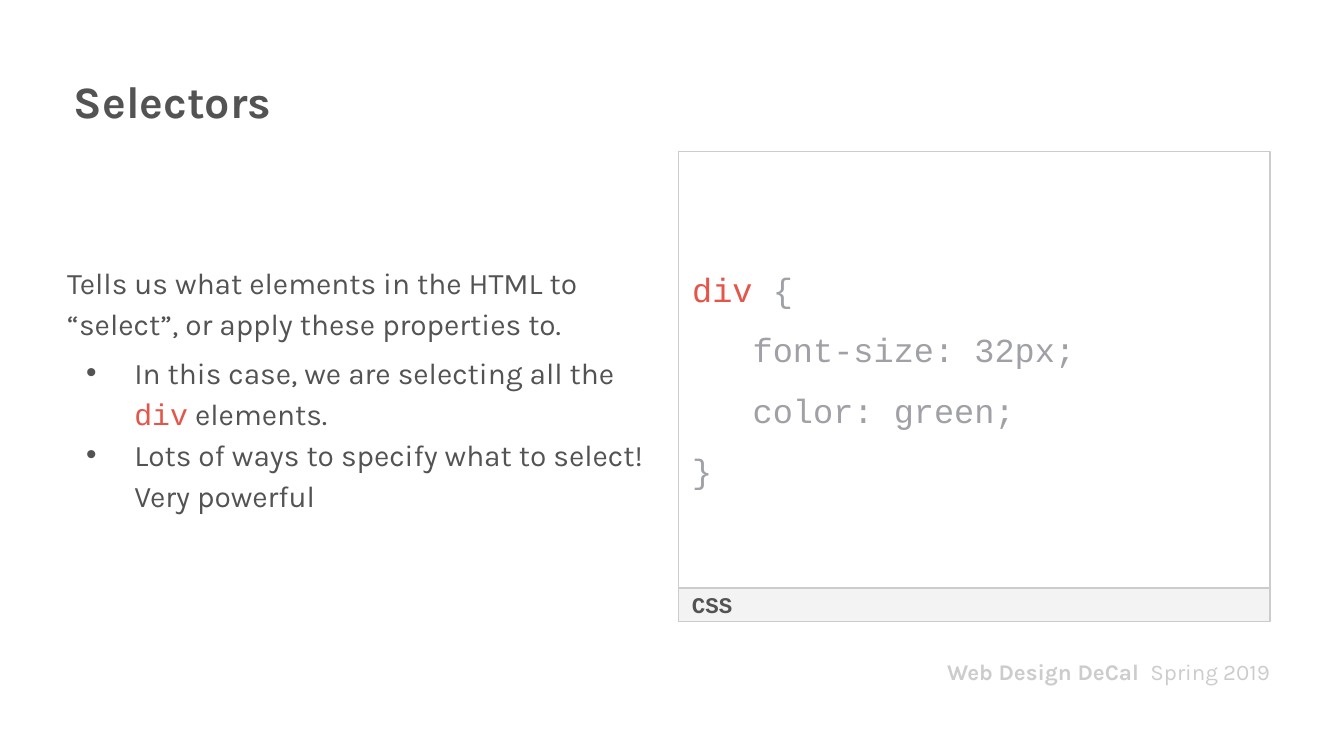
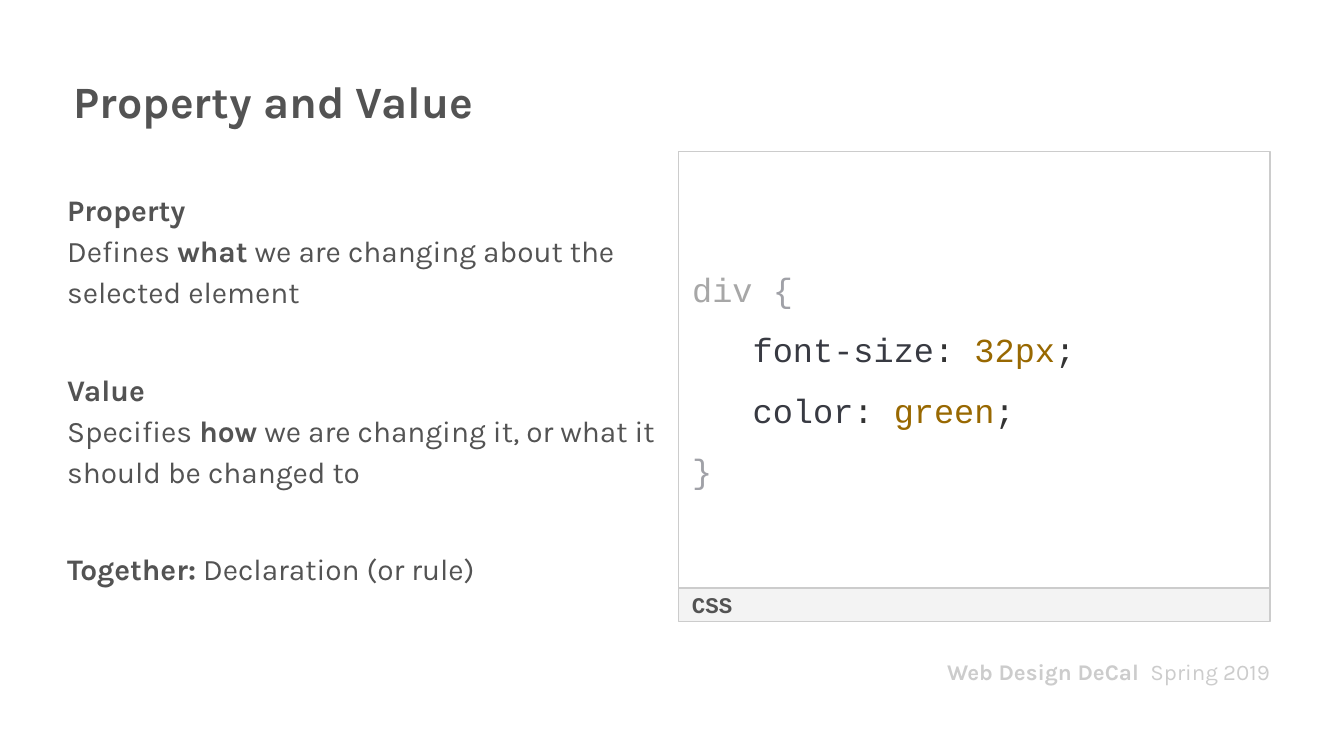
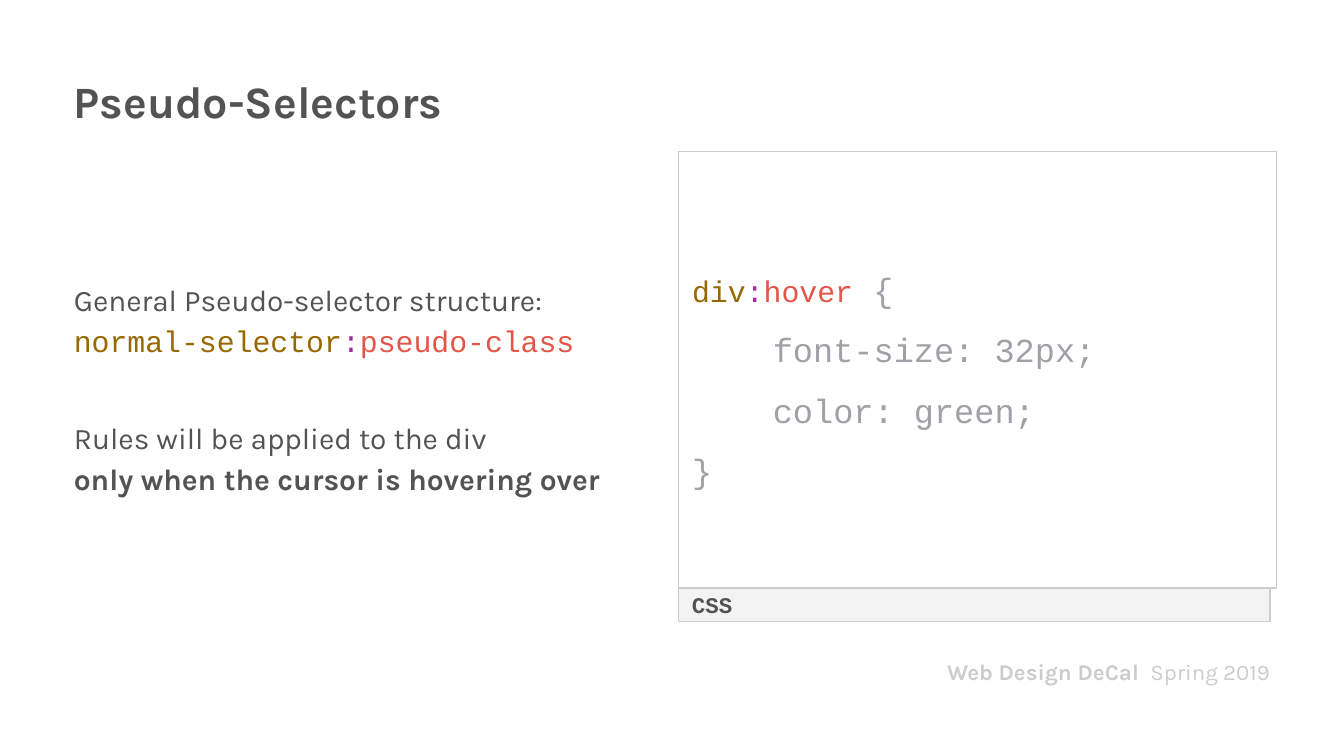
"""Build three course slides on CSS selectors, declarations and pseudo-selectors."""
from copy import deepcopy
from typing import NamedTuple

from lxml import etree
from pptx import Presentation
from pptx import util as u
from pptx.dml.color import RGBColor
from pptx.enum import shapes, text
from pptx.oxml.ns import qn

INK = RGBColor(0x53, 0x53, 0x53)
RULE = RGBColor(0xCC, 0xCC, 0xCC)
LABEL_BAND = RGBColor(0xF3, 0xF3, 0xF3)
RED = RGBColor(0xE4, 0x56, 0x49)
PURPLE = RGBColor(0xA6, 0x26, 0xA4)
OCHRE = RGBColor(0x98, 0x68, 0x01)
MUTED = RGBColor(0xA0, 0xA1, 0xA7)
MUTED_SELECTOR = RGBColor(0xA7, 0xA7, 0xA7)
PROPERTY = RGBColor(0x38, 0x3A, 0x42)
PUNCTUATION = RGBColor(0x33, 0x33, 0x33)

PROSE, CODE = "Karla", "Courier New"
COLUMNS, ROWS = 200, 45
WIDTH = u.Inches(10)
HEIGHT = u.Emu(WIDTH * 9 // 16)
PADDING = u.Inches(0.1)
SECTION_GAP = 30


class Cell(NamedTuple):
    """A rectangle in grid columns and rows."""
    column: int
    row: int
    columns: int
    rows: int


class Span(NamedTuple):
    """A stretch of text in one format."""
    words: str
    color: RGBColor = INK
    bold: bool = False
    face: str = PROSE
    size: int = 16


class Para(NamedTuple):
    """A paragraph with its spacing and optional bullet."""
    spans: list[Span]
    before: int = 0
    spacing: float = 1.0
    bullet: bool = False
    align: text.PP_ALIGN = text.PP_ALIGN.LEFT


class Lesson(NamedTuple):
    """One slide: heading, explanation and code sample."""
    heading: str
    explanation: list[Para]
    code: list[Para]
    explanation_cell: Cell = Cell(10, 9, 89, 28)
    code_cell: Cell = Cell(101, 9, 88, 26)


HEADING_CELL = Cell(11, 4, 178, 4)
LANGUAGE_CELL = Cell(101, 35, 88, 2)
FOOTER_CELL = Cell(131, 39, 58, 2)


def prose(*spans: Span, before: int = 4, bullet: bool = False) -> Para:
    """Return a paragraph of explanation."""
    return Para(list(spans), before, 1.15, bullet)


def bold(words: str) -> Span:
    """Return emphasised prose."""
    return Span(words, bold=True)


def code(words: str, color: RGBColor, size: int = 18) -> Span:
    """Return a stretch of code."""
    return Span(words, color, False, CODE, size)


def line(*spans: Span) -> Para:
    """Return a line of a code sample."""
    return Para(list(spans), spacing=1.5)


def muted(*lines: str) -> list[Para]:
    """Return code lines in the muted colour."""
    return [line(code(words, MUTED)) for words in lines]


def declaration(name: str, value: str) -> Para:
    """Return a coloured declaration line."""
    return line(code("   ", PUNCTUATION), code(name, PROPERTY), code(": ", PUNCTUATION),
                code(value, OCHRE), code(";", PUNCTUATION))


LESSONS = [
    Lesson(
        "Selectors",
        [prose(Span("Tells us what elements in the HTML to “select”, or apply these properties to."),
               before=0),
         prose(Span("In this case, we are selecting all the "), code("div", RED, 16),
               Span(" elements."), bullet=True),
         prose(Span("Lots of ways to specify what to select! Very powerful"),
               before=0, bullet=True)],
        [line(code("div ", RED), code("{", MUTED)),
         *muted("   font-size: 32px;", "   color: green;", "}")],
    ),
    Lesson(
        "Property and Value",
        [prose(bold("Property\n"), Span("Defines "), bold("what"),
               Span(" we are changing about the selected element"), before=0),
         prose(bold("Value\n"), Span("Specifies "), bold("how"),
               Span(" we are changing it, or what it should be changed to"), before=SECTION_GAP),
         prose(bold("Together:"), Span(" Declaration (or rule)"), before=SECTION_GAP)],
        [line(code("div ", MUTED_SELECTOR), code("{", MUTED)),
         declaration("font-size", "32px"), declaration("color", "green"), *muted("}")],
    ),
    Lesson(
        "Pseudo-Selectors",
        [prose(Span("General Pseudo-selector structure:\n"), code("normal-selector", OCHRE, 16),
               code(":", PURPLE, 16), code("pseudo-class", RED, 16), before=0),
         prose(Span("Rules will be applied to the div\n"),
               bold("only when the cursor is hovering over"), before=SECTION_GAP)],
        [line(code("div", OCHRE, 16), code(":", PURPLE, 16), code("hover", RED, 16),
              code(" ", RED), code("{", MUTED)),
         *muted("    font-size: 32px;", "    color: green;", "}")],
        explanation_cell=Cell(11, 9, 88, 28),
        code_cell=Cell(101, 9, 89, 26),
    ),
]


def box(cell: Cell) -> tuple[int, int, int, int]:
    """Convert a grid cell to left, top, width and height."""
    across, down = WIDTH // COLUMNS, HEIGHT // ROWS
    return cell.column * across, cell.row * down, cell.columns * across, cell.rows * down


def assign(target, values: dict) -> None:
    """Set attributes from a dict of values."""
    for name, value in values.items():
        setattr(target, name, value)


def place(shape, cell: Cell) -> None:
    """Move a shape onto a grid cell."""
    assign(shape, dict(zip(("left", "top", "width", "height"), box(cell))))


def write_span(paragraph, span: Span) -> None:
    """Add a span, turning newlines into line breaks of the same format."""
    words, newline, _ = span.words.partition("\n")
    run = paragraph.add_run()
    run.text = words
    assign(run.font, {"name": span.face, "size": u.Pt(span.size), "bold": span.bold})
    run.font.color.rgb = span.color
    if newline:
        paragraph.add_line_break()
        paragraph._p[-1].append(deepcopy(run._r.rPr))


def set_bullet(paragraph, bullet: bool) -> None:
    """Give a paragraph a hanging bullet, or none."""
    properties = paragraph._p.get_or_add_pPr()
    properties.set("marL", str(u.Inches(0.5) if bullet else 0))
    properties.set("indent", str(u.Inches(-0.36) if bullet else 0))
    if bullet:
        tint = etree.SubElement(properties, qn("a:buClr"))
        etree.SubElement(tint, qn("a:srgbClr"), val=str(INK))
        etree.SubElement(properties, qn("a:buChar"), char="•")
    else:
        etree.SubElement(properties, qn("a:buNone"))


def write(shape, paras: list[Para], padding: int = 0) -> None:
    """Fill a shape with paragraphs, centred vertically."""
    frame = shape.text_frame
    assign(frame, {"word_wrap": True, "auto_size": text.MSO_AUTO_SIZE.NONE,
                   "vertical_anchor": text.MSO_ANCHOR.MIDDLE}
           | {f"margin_{side}": padding for side in ("left", "right", "top", "bottom")})
    for index, para in enumerate(paras):
        paragraph = frame.add_paragraph() if index else frame.paragraphs[0]
        set_bullet(paragraph, para.bullet)
        assign(paragraph, {"alignment": para.align, "line_spacing": para.spacing,
                           "space_before": u.Pt(para.before), "space_after": u.Pt(0)})
        for span in para.spans:
            write_span(paragraph, span)


def outline(shape) -> None:
    """Draw the thin panel border."""
    shape.line.color.rgb = RULE
    shape.line.width = u.Pt(0.75)


def add_language_label(slide) -> None:
    """Add the band that names the code's language."""
    band = slide.shapes.add_shape(shapes.MSO_SHAPE.RECTANGLE, *box(LANGUAGE_CELL))
    band.shadow.inherit = False
    band.fill.solid()
    band.fill.fore_color.rgb = LABEL_BAND
    outline(band)
    write(band, [Para([Span("CSS", INK, True, CODE, 12)])], PADDING)


def add_shared_footer(slide) -> None:
    """Set the course footer on the layout of the slide."""
    footer = slide.shapes.add_textbox(*box(FOOTER_CELL))
    write(footer, [Para([Span("Web Design DeCal  ", RULE, True, size=12),
                         Span("Spring 2019", RULE, size=12)], align=text.PP_ALIGN.RIGHT)])
    slide.slide_layout.shapes.element.append(footer.element)


def add_lesson(deck, layout, lesson: Lesson):
    """Add one lesson slide and return it."""
    slide = deck.slides.add_slide(layout)
    heading, explanation, sample = slide.placeholders
    place(heading, HEADING_CELL)
    write(heading, [Para([Span(lesson.heading, bold=True, size=24)])])
    place(explanation, lesson.explanation_cell)
    write(explanation, lesson.explanation)
    place(sample, lesson.code_cell)
    outline(sample)
    write(sample, lesson.code, PADDING)
    add_language_label(slide)
    return slide


def main() -> None:
    """Build and save the deck."""
    deck = Presentation()
    assign(deck, {"slide_width": WIDTH, "slide_height": HEIGHT})
    layout = deck.slide_layouts.get_by_name("Two Content")
    slides = [add_lesson(deck, layout, lesson) for lesson in LESSONS]
    add_shared_footer(slides[0])
    deck.save("out.pptx")


if __name__ == "__main__":
    main()
